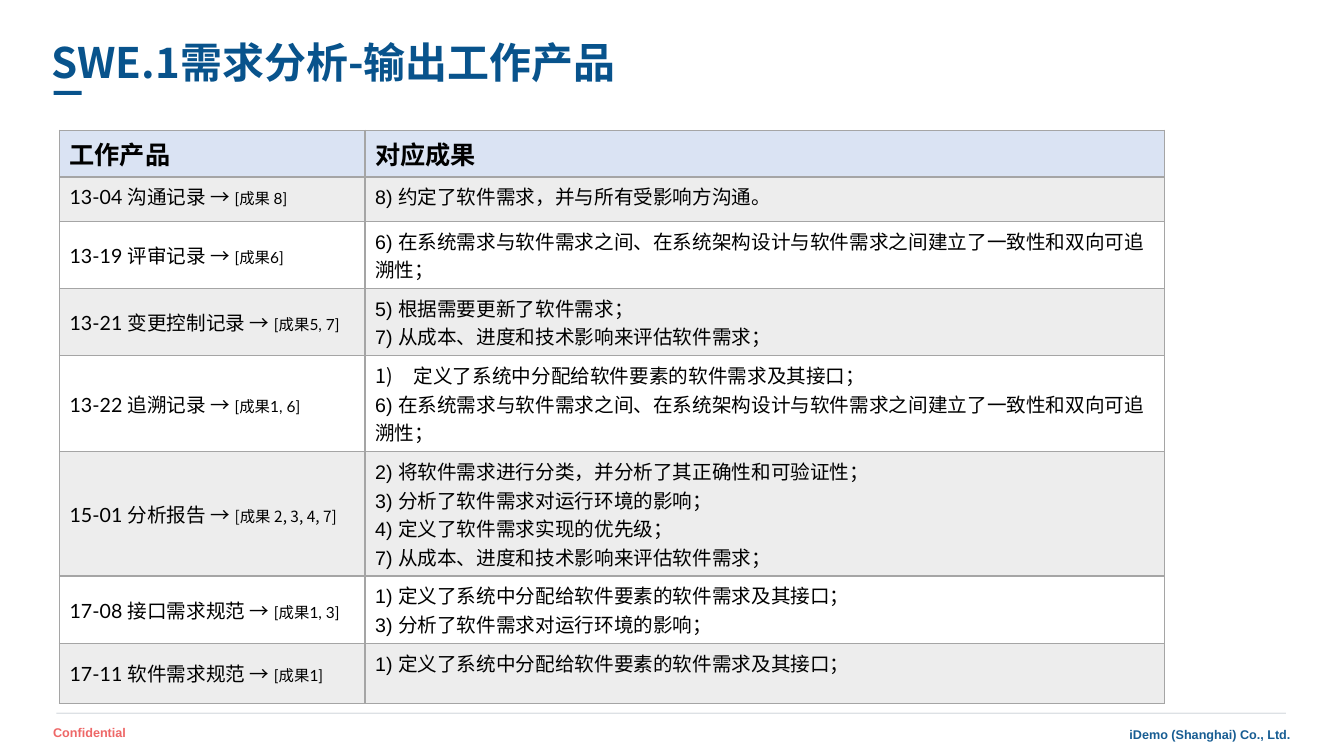
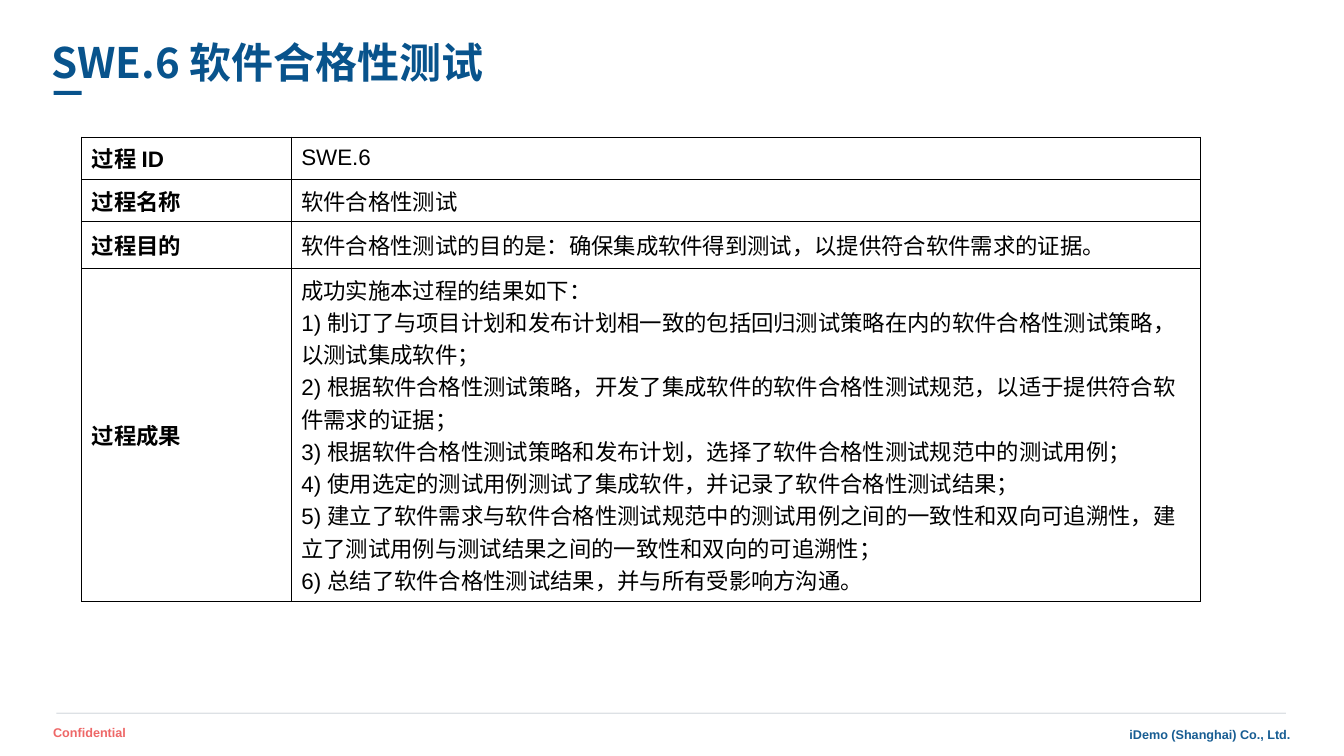
from dataclasses import dataclass
from typing import Optional

from lxml import etree
from pptx import Presentation
from pptx import util as u
from pptx.dml.color import RGBColor
from pptx.enum import shapes, text
from pptx.oxml.ns import qn


@dataclass(frozen=True)
class Theme:
    navy: str = "08538C"
    footer_blue: str = "175D93"
    coral: str = "EE6767"
    rule: str = "DDE1E5"
    black: str = "000000"
    grid: str = "A5A5A5"
    header: str = "DAE3F3"
    band: str = "EDEDED"
    title_size: float = 30
    header_size: float = 18
    process_size: float = 16
    body_size: float = 14
    label_size: float = 11
    footer_size: float = 9
    sans: str = "Arial"
    latin: str = "Lato"
    mixed: str = "Calibri"
    chinese: str = "Noto Sans CJK SC"


THEME = Theme()


@dataclass(frozen=True)
class Box:
    left: float
    top: float
    width: float
    height: float

    def lengths(self) -> tuple:
        return tuple(u.Cm(n) for n in (self.left, self.top, self.width, self.height))


@dataclass(frozen=True)
class Span:
    text: str
    font: str
    size: Optional[float] = None


@dataclass(frozen=True)
class Line:
    spans: tuple[Span, ...]
    size: float
    bold: bool = False
    numbered: bool = False


@dataclass(frozen=True)
class Cell:
    lines: tuple[Line, ...]
    fill: Optional[str] = None
    middle: bool = True
    bottom_width: Optional[float] = None


@dataclass(frozen=True)
class Row:
    height: float
    cells: tuple[Cell, ...]


@dataclass(frozen=True)
class Grid:
    left: float
    top: float
    columns: tuple[float, ...]
    rows: tuple[Row, ...]
    line_color: str
    line_width: float


@dataclass(frozen=True)
class WorkProduct:
    code: str
    name: str
    outcomes: tuple[int, ...]
    height: float
    middle: bool = True
    label_gap: str = ""
    label_font: Optional[str] = None
    first_numbered: bool = False


@dataclass(frozen=True)
class ProcessField:
    name: tuple[Span, ...]
    values: tuple[str, ...]
    height: float


OUTCOMES = {
    1: "定义了系统中分配给软件要素的软件需求及其接口；",
    2: "将软件需求进行分类，并分析了其正确性和可验证性；",
    3: "分析了软件需求对运行环境的影响；",
    4: "定义了软件需求实现的优先级；",
    5: "根据需要更新了软件需求；",
    6: "在系统需求与软件需求之间、在系统架构设计与软件需求之间建立了一致性和双向可追溯性；",
    7: "从成本、进度和技术影响来评估软件需求；",
    8: "约定了软件需求，并与所有受影响方沟通。",
}

WORK_PRODUCTS = (
    WorkProduct("13-04", "沟通记录", (8,), 1.12, middle=False, label_gap=" "),
    WorkProduct("13-19", "评审记录", (6,), 1.52),
    WorkProduct("13-21", "变更控制记录", (5, 7), 1.52),
    WorkProduct("13-22", "追溯记录", (1, 6), 2.03, first_numbered=True),
    WorkProduct("15-01", "分析报告", (2, 3, 4, 7), 2.62, label_gap=" ",
                label_font=THEME.chinese),
    WorkProduct("17-08", "接口需求规范", (1, 3), 1.52),
    WorkProduct("17-11", "软件需求规范", (1,), 1.52),
)

PROCESS_FIELDS = (
    ProcessField((Span("过程 ", THEME.latin), Span("ID", THEME.sans)), ("SWE.6",), 1.02),
    ProcessField((Span("过程名称", THEME.latin),), ("软件合格性测试",), 1.02),
    ProcessField((Span("过程目的", THEME.latin),), (
        "软件合格性测试的目的是：确保集成软件得到测试，以提供符合软件需求的证据。",), 1.17),
    ProcessField((Span("过程成果", THEME.latin),), (
        "成功实施本过程的结果如下：",
        "1) 制订了与项目计划和发布计划相一致的包括回归测试策略在内的软件合格性测试策略，以测试集成软件；",
        "2) 根据软件合格性测试策略，开发了集成软件的软件合格性测试规范，以适于提供符合软件需求的证据；",
        "3) 根据软件合格性测试策略和发布计划，选择了软件合格性测试规范中的测试用例；",
        "4) 使用选定的测试用例测试了集成软件，并记录了软件合格性测试结果；",
        "5) 建立了软件需求与软件合格性测试规范中的测试用例之间的一致性和双向可追溯性，"
        "建立了测试用例与测试结果之间的一致性和双向的可追溯性；",
        "6) 总结了软件合格性测试结果，并与所有受影响方沟通。",
    ), 6.86),
)


def style_font(font, size: float, color: str, bold: bool) -> None:
    font.size = u.Pt(size)
    font.bold = bold
    font.color.rgb = RGBColor.from_string(color)


def add_bar(page, box: Box, color: str) -> None:
    bar = page.shapes.add_shape(shapes.MSO_SHAPE.RECTANGLE, *box.lengths())
    bar.shadow.inherit = False
    bar.fill.solid()
    bar.fill.fore_color.rgb = RGBColor.from_string(color)
    bar.line.fill.background()


def add_footer(page, box: Box, words: str, color: str, align) -> None:
    frame = page.shapes.add_textbox(*box.lengths()).text_frame
    frame.word_wrap = True
    frame.auto_size = text.MSO_AUTO_SIZE.SHAPE_TO_FIT_TEXT
    para = frame.paragraphs[0]
    para.text = words
    para.alignment = align
    para.font.name = THEME.sans
    style_font(para.font, THEME.footer_size, color, True)


def prepare_layout(layout, page) -> None:
    for holder in list(layout.placeholders):
        if holder.placeholder_format.type == shapes.PP_PLACEHOLDER.TITLE:
            box = Box(1.04, 0.81, 29.21, 1.63)
            holder.left, holder.top, holder.width, holder.height = box.lengths()
        else:
            holder.element.getparent().remove(holder.element)
    add_bar(page, Box(1.42, 17.96, 30.99, 0.03), THEME.rule)
    add_footer(page, Box(1.09, 18.14, 7.06, 0.64), "Confidential",
               THEME.coral, text.PP_ALIGN.LEFT)
    add_footer(page, Box(18.06, 18.19, 14.71, 0.64), "iDemo (Shanghai) Co., Ltd.",
               THEME.footer_blue, text.PP_ALIGN.RIGHT)
    add_bar(page, Box(1.35, 2.29, 0.71, 0.1), THEME.navy)
    for shape in list(page.shapes):
        if not shape.is_placeholder:
            layout.shapes.element.append(shape.element)


def set_title(page, words: str) -> None:
    frame = page.shapes.title.text_frame
    frame.auto_size = text.MSO_AUTO_SIZE.NONE
    frame.vertical_anchor = text.MSO_ANCHOR.MIDDLE
    para = frame.paragraphs[0]
    para.text = words
    para.alignment = text.PP_ALIGN.LEFT
    para.line_spacing = 0.9
    para.font.name = THEME.chinese
    style_font(para.font, THEME.title_size, THEME.navy, True)


def number_paragraph(para) -> None:
    properties = para._p.get_or_add_pPr()
    indent = u.Cm(0.97)
    properties.set("marL", str(indent))
    properties.set("indent", str(-indent))
    etree.SubElement(properties, qn("a:buAutoNum"), type="arabicParenR")


def write_line(para, line: Line) -> None:
    if line.numbered:
        number_paragraph(para)
    style_font(para.font, line.size, THEME.black, line.bold)
    fonts = {span.font for span in line.spans}
    if len(fonts) == 1:
        para.font.name = line.spans[0].font
    for span in line.spans:
        run = para.add_run()
        run.text = span.text
        if len(fonts) > 1:
            run.font.name = span.font
        if span.size:
            run.font.size = u.Pt(span.size)


def set_borders(cell, color: str, width: float, bottom_width: float) -> None:
    properties = cell._tc.get_or_add_tcPr()
    widths = {"lnL": width, "lnR": width, "lnT": width, "lnB": bottom_width}
    for place, (side, points) in enumerate(widths.items()):
        border = etree.Element(qn(f"a:{side}"), w=str(u.Pt(points)))
        fill = etree.SubElement(border, qn("a:solidFill"))
        etree.SubElement(fill, qn("a:srgbClr"), val=color)
        properties.insert(place, border)


def fill_cell(cell, content: Cell, grid: Grid) -> None:
    if content.fill:
        cell.fill.solid()
        cell.fill.fore_color.rgb = RGBColor.from_string(content.fill)
    else:
        cell.fill.background()
    cell.vertical_anchor = text.MSO_ANCHOR.MIDDLE if content.middle else text.MSO_ANCHOR.TOP
    frame = cell.text_frame
    for index, line in enumerate(content.lines):
        write_line(frame.add_paragraph() if index else frame.paragraphs[0], line)
    set_borders(cell, grid.line_color, grid.line_width,
                content.bottom_width or grid.line_width)


def draw_grid(page, grid: Grid) -> None:
    box = Box(grid.left, grid.top, sum(grid.columns), sum(row.height for row in grid.rows))
    table = page.shapes.add_table(len(grid.rows), len(grid.columns), *box.lengths()).table
    table.first_row = False
    table.horz_banding = False
    for column, width in zip(table.columns, grid.columns):
        column.width = u.Cm(width)
    for table_row, row in zip(table.rows, grid.rows):
        table_row.height = u.Cm(row.height)
        for cell, content in zip(table_row.cells, row.cells):
            fill_cell(cell, content, grid)


def header_row() -> Row:
    return Row(1.09, tuple(
        Cell((Line((Span(words, THEME.sans),), THEME.header_size, bold=True),),
             THEME.header, middle=False, bottom_width=2)
        for words in ("工作产品", "对应成果")))


def product_row(index: int, product: WorkProduct) -> Row:
    fill = None if index % 2 else THEME.band
    numbers = ", ".join(str(number) for number in product.outcomes)
    label = (("[", THEME.latin), ("成果" + product.label_gap, THEME.mixed),
             (numbers + "]", THEME.latin))
    name = Line((
        Span(product.code + " ", THEME.latin),
        Span(product.name + " ", THEME.mixed),
        Span("→ ", THEME.latin),
        *(Span(words, product.label_font or font, THEME.label_size) for words, font in label),
    ), THEME.body_size)
    outcomes = []
    for place, number in enumerate(product.outcomes):
        numbered = product.first_numbered and place == 0
        words = OUTCOMES[number] if numbered else f"{number}) {OUTCOMES[number]}"
        outcomes.append(Line((Span(words, THEME.sans),), THEME.body_size, numbered=numbered))
    return Row(product.height, (Cell((name,), fill, product.middle),
                                Cell(tuple(outcomes), fill, middle=False)))


def process_row(field: ProcessField) -> Row:
    name = Line(field.name, THEME.process_size, bold=True)
    values = tuple(Line((Span(words, THEME.sans),), THEME.process_size)
                   for words in field.values)
    return Row(field.height, (Cell((name,)), Cell(values)))


def set_chinese_font(page) -> None:
    for latin in list(page.element.iter(qn("a:latin"))):
        latin.addnext(etree.Element(qn("a:ea"), typeface=THEME.chinese))


def main() -> None:
    deck = Presentation()
    deck.slide_width, deck.slide_height = u.Cm(33.87), u.Cm(19.05)
    layout = deck.slide_layouts.get_by_name("Title Only")
    product_rows = tuple(product_row(i, item) for i, item in enumerate(WORK_PRODUCTS))
    contents = (
        ("SWE.1需求分析-输出工作产品",
         Grid(1.5, 3.28, (7.7, 20.14), (header_row(), *product_rows), THEME.grid, 1)),
        ("SWE.6 软件合格性测试",
         Grid(2.06, 3.45, (5.28, 22.91), tuple(map(process_row, PROCESS_FIELDS)),
              THEME.black, 0.5)),
    )
    for index, (title, grid) in enumerate(contents):
        page = deck.slides.add_slide(layout)
        if index == 0:
            prepare_layout(layout, page)
        set_title(page, title)
        draw_grid(page, grid)
        set_chinese_font(page)
    deck.save("out.pptx")


if __name__ == "__main__":
    main()
